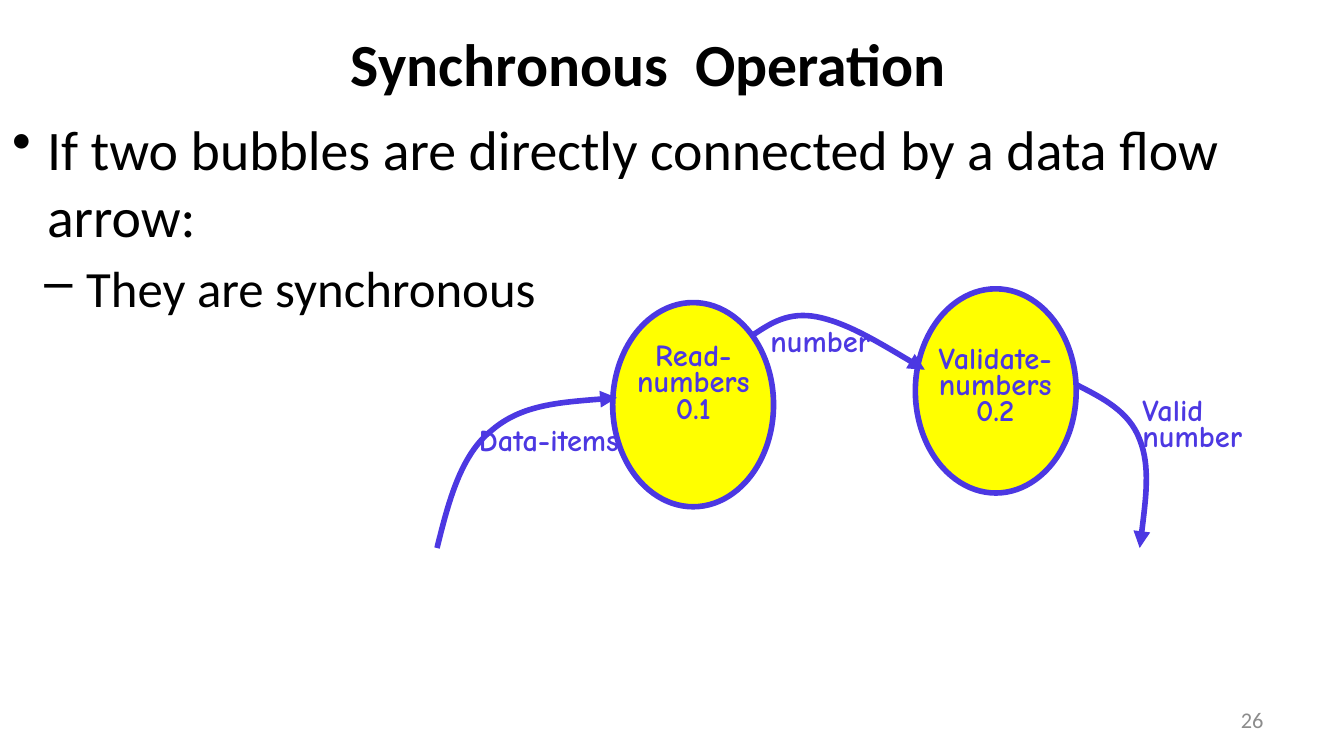
import copy

import lxml.etree
import pptx
import pptx.dml.color
import pptx.enum.shapes
import pptx.enum.text
import pptx.oxml.ns
import pptx.util

Cm = pptx.util.Cm
Pt = pptx.util.Pt
qn = pptx.oxml.ns.qn
ALIGN = pptx.enum.text.PP_ALIGN
ANCHOR = pptx.enum.text.MSO_ANCHOR
COLORS = {"text": "000000", "flow": "4C38E2", "bubble": "FFFF00", "number": "8C8C8C"}

presentation = pptx.Presentation()
presentation.slide_width = Cm(25.4)
presentation.slide_height = Cm(14.29)
slide = presentation.slides.add_slide(presentation.slide_layouts[6])


def add_text(box, text, color, font_format, paragraph_format, anchor=ANCHOR.TOP, margins=(0.03, 0.1)):
    shape = slide.shapes.add_textbox(*(Cm(length) for length in box))
    frame = shape.text_frame
    frame_format = {
        "word_wrap": True,
        "vertical_anchor": anchor,
        "margin_left": Cm(margins[0]),
        "margin_right": Cm(margins[0]),
        "margin_top": Cm(margins[1]),
        "margin_bottom": Cm(margins[1]),
    }
    for name, value in frame_format.items():
        setattr(frame, name, value)
    frame.text = text
    for paragraph in frame.paragraphs:
        for name, value in paragraph_format.items():
            setattr(paragraph, name, value)
        for run in paragraph.runs:
            for name, value in font_format.items():
                setattr(run.font, name, value)
            run.font.color.rgb = pptx.dml.color.RGBColor.from_string(COLORS[color])
        for line_break in paragraph._p.findall(qn("a:br")):
            line_break.append(copy.deepcopy(paragraph._p.find(qn("a:r")).find(qn("a:rPr"))))
    return frame


def style_outline(shape):
    shape.shadow.inherit = False
    shape.line.color.rgb = pptx.dml.color.RGBColor.from_string(COLORS["flow"])
    shape.line.width = Pt(3)


add_text(
    (4.17, 0, 16.18, 2.36), "Synchronous  Operation", "text",
    {"name": "Calibri", "size": Pt(32), "bold": True},
    {"alignment": ALIGN.CENTER}, ANCHOR.MIDDLE,
)

body = add_text(
    (0.2, 2.06, 24.97, 9.68),
    "If two bubbles are directly connected by a data flow arrow:\nThey are synchronous",
    "text", {"name": "Calibri"}, {},
)
bullets = [("•", 29.9, 0.66, -0.66, 0), ("–", 27.2, 1.4, -0.79, 4.8)]
for level, (paragraph, bullet) in enumerate(zip(body.paragraphs, bullets)):
    character, size, margin, indent, space_before = bullet
    properties = paragraph._p.get_or_add_pPr()
    properties.set("marL", str(Cm(margin)))
    properties.set("indent", str(Cm(indent)))
    lxml.etree.SubElement(properties, qn("a:buChar")).set("char", character)
    paragraph.level = level
    paragraph.space_before = Pt(space_before)
    paragraph.runs[0].font.size = Pt(size)

for left, top in [(11.58, 5.72), (17.3, 5.46)]:
    bubble = slide.shapes.add_shape(
        pptx.enum.shapes.MSO_SHAPE.OVAL, Cm(left), Cm(top), Cm(3.04), Cm(3.86)
    )
    bubble.fill.solid()
    bubble.fill.fore_color.rgb = pptx.dml.color.RGBColor.from_string(COLORS["bubble"])
    style_outline(bubble)

flows = [
    [(8.26, 10.36), (8.48, 9.47), (8.71, 8.59), (9.3, 8.13), (9.86, 7.65), (10.77, 7.59), (11.66, 7.52)],
    [(14.25, 6.32), (14.58, 6.1), (14.91, 5.89), (15.44, 5.99), (16, 6.1), (16.74, 6.55), (17.48, 6.99)],
    [(20.32, 7.26), (20.83, 7.52), (21.34, 7.77), (21.54, 8.31), (21.74, 8.81), (21.64, 9.58), (21.54, 10.36)],
]
for points in flows:
    start, *others = [(Cm(x), Cm(y)) for x, y in points]
    builder = slide.shapes.build_freeform(*start)
    builder.add_line_segments(others, close=False)
    flow = builder.convert_to_shape()
    flow.fill.background()
    style_outline(flow)
    segments = list(flow._element.iter(qn("a:lnTo")))
    outline = segments[0].getparent()
    for first in range(0, len(segments), 3):
        curve = lxml.etree.SubElement(outline, qn("a:cubicBezTo"))
        for segment in segments[first:first + 3]:
            curve.append(segment[0])
            outline.remove(segment)
    lxml.etree.SubElement(flow.line._get_or_add_ln(), qn("a:tailEnd")).set("type", "triangle")

labels = [
    ("Data-items", (9.02, 8.03, 3.02, 2.36), ALIGN.LEFT),
    ("Read-numbers\v0.1", (11.58, 6.43, 3.05, 3.4), ALIGN.CENTER),
    ("Validate-numbers\v0.2", (17.3, 6.48, 3.02, 4.32), ALIGN.CENTER),
    ("Valid number", (21.56, 7.47, 3.05, 2.36), ALIGN.LEFT),
    ("number", (14.53, 6.17, 3.02, 1.35), ALIGN.LEFT),
]
for text, box, alignment in labels:
    add_text(
        box, text, "flow",
        {"name": "Comic Neue", "size": Pt(16.3), "bold": True},
        {"alignment": alignment, "line_spacing": 0.72},
    )

add_text(
    (18.21, 13.23, 5.92, 0.76), "26", "number",
    {"name": "Calibri", "size": Pt(12)},
    {"alignment": ALIGN.RIGHT}, ANCHOR.MIDDLE, (0.25, 0.13),
)

presentation.save("out.pptx")
